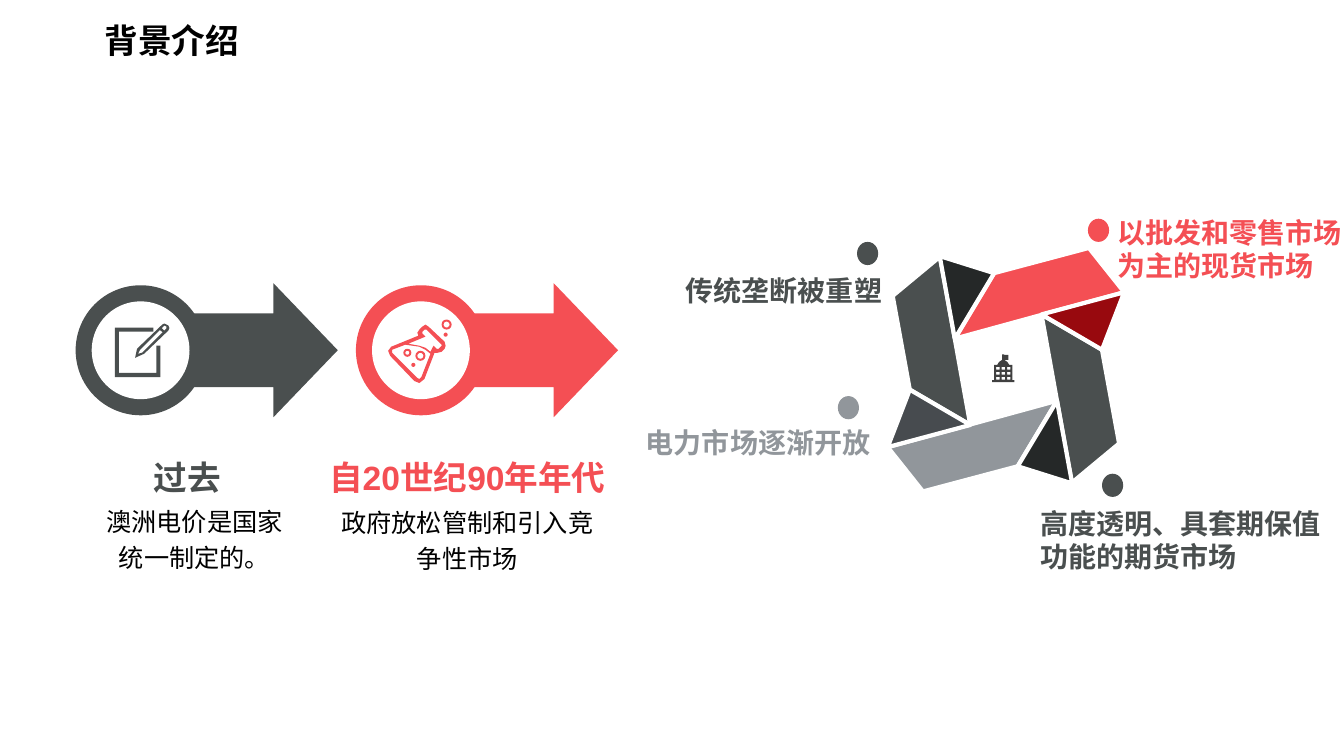
from dataclasses import dataclass

from lxml import etree
from pptx import Presentation
from pptx.dml.color import RGBColor
from pptx.enum.shapes import MSO_SHAPE
from pptx.enum.text import MSO_ANCHOR, MSO_AUTO_SIZE, PP_ALIGN
from pptx.oxml.ns import qn
from pptx.util import Emu, Inches, Pt

ARROW, OVAL, RING = MSO_SHAPE.RIGHT_ARROW, MSO_SHAPE.OVAL, MSO_SHAPE.DONUT
LEFT, CENTER, RIGHT = PP_ALIGN.LEFT, PP_ALIGN.CENTER, PP_ALIGN.RIGHT
MIDDLE, BOTTOM, TOP = MSO_ANCHOR.MIDDLE, MSO_ANCHOR.BOTTOM, MSO_ANCHOR.TOP

CELL = Inches(0.1)  # every length below is in columns and rows of this grid
STAGE_STEP = 27.8
HUB = (99.77, 36.68)

Point = tuple[float, float]
Box = tuple[float, float, float, float]
Contour = list[Point]


@dataclass(frozen=True)
class Theme:
    slate: str = "4A4F4F"
    coral: str = "F44F54"
    grey: str = "91969B"
    coal: str = "252828"
    maroon: str = "98090E"
    steel: str = "474B4F"
    icon: str = "404040"
    white: str = "FFFFFF"
    black: str = "000000"
    font: str = "Arial"
    cjk_font: str = "Noto Sans CJK SC"
    heading: int = 24
    label: int = 20
    body: int = 18
    edge: int = 3


T = Theme()


@dataclass(frozen=True)
class Text:
    text: str
    box: Box
    size: int
    color: str
    bold: bool = True
    align: PP_ALIGN = CENTER
    anchor: MSO_ANCHOR = MIDDLE
    wrap: bool = False
    spacing: float = 1.0
    insets: Box = (0, 0, 0, 0)
    font: str = T.font
    grow: bool = False


@dataclass(frozen=True)
class Stage:
    color: str
    heading: str
    body: str
    body_box: Box
    icon: list[list[Contour]]


@dataclass(frozen=True)
class Facet:
    """A pinwheel part, and the colour of its twin across the hub."""
    points: Contour
    color: str
    twin_color: str


@dataclass(frozen=True)
class Label:
    dot: Point
    text: Text


@dataclass(frozen=True)
class Bubble:
    left: float
    top: float
    size: float
    wall: float = 0  # 0 is a solid dot


PEN_ICON = [
    [[(15.7, 37.4), (11.4, 37.4), (11.4, 32.5), (15.2, 32.5), (15.2, 32.9), (11.8, 32.9),
      (11.8, 37), (15.5, 37), (15.5, 34.3), (15.9, 34.3), (15.9, 37.4)]],
    [[(13.4, 35.5), (13.6, 34.6), (16.1, 32.2), (16.3, 32.1), (16.7, 32.3), (16.8, 32.55),
      (16.7, 32.8), (14.3, 35.1)],
     [(13.9, 34.7), (13.7, 35.1), (14.1, 35), (16.5, 32.6), (16.5, 32.4), (16.3, 32.3)]],
    [[(16.2, 33), (15.8, 32.7), (16, 32.5), (16.4, 32.9)]],
]
FLASK_ICON = [[
    [(42.5, 32.4), (42.2, 32.2), (41.9, 32.4), (41.6, 32.7), (41.4, 33), (41.5, 33.3),
     (38.8, 34.4), (38.5, 34.8), (38.7, 35.3), (41.1, 37.8), (41.6, 38), (42.1, 37.6),
     (43.1, 35), (43.4, 35), (43.8, 34.9), (44.1, 34.6), (44.2, 34.3), (44.1, 33.9)],
    [(41.8, 37.4), (41.6, 37.6), (41.4, 37.5), (38.9, 35), (38.9, 34.7), (40.2, 34.2),
     (41.6, 34.4), (42.2, 34.7), (42.7, 35.1)],
    [(43.8, 34.3), (43.5, 34.6), (43.3, 34.6), (43, 34.3), (42.7, 34.9), (42.2, 34.5),
     (41.6, 34.3), (40.5, 34.1), (42.2, 33.4), (41.9, 33.1), (41.9, 32.9), (42.1, 32.7),
     (42.3, 32.7), (43.8, 34.2)],
]]
BUBBLES = [Bubble(41.2, 34.8, 1, 0.2), Bubble(43.8, 31.7, 1, 0.2), Bubble(40, 34.6, 0.8, 0.25),
           Bubble(40.8, 36, 0.4), Bubble(44, 33, 0.4)]
BUILDING = [(98.4, 37.9), (98.4, 37.7), (98.6, 37.7), (98.6, 36.2), (98.9, 36.2), (99.1, 35.9),
            (99.4, 35.7), (99.4, 35.15), (99.6, 35.15), (99.6, 35.2), (100, 35.2), (100, 35.7),
            (99.6, 35.7), (99.9, 35.9), (100.1, 36.2), (100.4, 36.2), (100.4, 37.7),
            (100.6, 37.7), (100.6, 37.9)]

STAGES = [
    Stage(T.slate, "过去", "澳洲电价是国家\n统一制定的。", (3.6, 50.1, 31.4, 6.3), PEN_ICON),
    Stage(T.coral, "自20世纪90年年代", "政府放松管制和引入竞争性市场",
          (33.3, 50.2, 26.1, 6.3), FLASK_ICON),
]
FACETS = [
    Facet([(109.3, 34.7), (103.3, 31.2), (106.3, 47.9), (111, 44)], T.slate, T.slate),
    Facet([(98.6, 27.1), (94.7, 33.6), (111.5, 29), (108, 24.6)], T.coral, T.grey),
    Facet([(93.2, 25.4), (98.6, 27.1), (94.7, 33.6)], T.coal, T.coal),
    Facet([(111.5, 29), (109.3, 34.7), (103.3, 31.2)], T.maroon, T.steel),
]
LABELS = [
    Label((107.9, 21.7), Text("以批发和零售市场\n为主的现货市场", (108.4, 19.9, 16.4, 8.1), T.label,
                              T.coral, align=LEFT, anchor=BOTTOM, insets=(2.4, 0, 0, 0))),
    Label((109.3, 47), Text("高度透明、具套期保值\n功能的期货市场", (100.8, 47.1, 17.8, 9.8), T.label,
                            T.slate, align=LEFT, anchor=BOTTOM, insets=(2.4, 0, 0, 0))),
    Label((85, 24), Text("传统垄断被重塑", (75.3, 27.7, 15.3, 2.2), T.label,
                         T.slate, align=RIGHT, insets=(0, 0, 3.1, 0))),
    Label((83.1, 39.3), Text("电力市场逐渐开放", (69.1, 42.8, 15.3, 2.2), T.label,
                             T.grey, insets=(0, 0, 3.1, 0))),
]
TITLE = Text("背景介绍", (9.4, 0.3, 35.6, 5.7), T.heading, T.black, align=LEFT, anchor=TOP, wrap=True,
             spacing=1.3, insets=(1, 0.5, 1, 0.5), font=T.cjk_font, grow=True)


def grid(n: float) -> Emu:
    return Emu(round(n * CELL))


def paint(sp, color: str, edge: str | None = None) -> None:
    sp.shadow.inherit = False
    sp.fill.solid()
    sp.fill.fore_color.rgb = RGBColor.from_string(color)
    if edge is None:
        sp.line.fill.background()
    else:
        sp.line.color.rgb = RGBColor.from_string(edge)
        sp.line.width = Pt(T.edge)


def add_preset(s, kind: MSO_SHAPE, box: Box, color: str, *adjustments: float) -> None:
    sp = s.shapes.add_shape(kind, *map(grid, box))
    for i, value in enumerate(adjustments):
        sp.adjustments[i] = value
    paint(sp, color)


def add_outline(s, contours: list[Contour], color: str, edge: str | None = None) -> None:
    """Draw closed contours as one shape; inner contours are holes."""
    first, *rest = [[(grid(x), grid(y)) for x, y in c] for c in contours]
    fb = s.shapes.build_freeform(*first[0], scale=1.0)
    fb.add_line_segments(first[1:], close=True)
    for contour in rest:
        fb.move_to(*contour[0])
        fb.add_line_segments(contour[1:], close=True)
    paint(fb.convert_to_shape(), color, edge)


def add_text(s, t: Text) -> None:
    tf = s.shapes.add_textbox(*map(grid, t.box)).text_frame
    tf.word_wrap = t.wrap
    tf.auto_size = MSO_AUTO_SIZE.SHAPE_TO_FIT_TEXT if t.grow else MSO_AUTO_SIZE.NONE
    tf.vertical_anchor = t.anchor
    tf.margin_left, tf.margin_top, tf.margin_right, tf.margin_bottom = map(grid, t.insets)
    tf.text = t.text
    for p in tf.paragraphs:
        p.alignment, p.line_spacing = t.align, t.spacing
        for r in p.runs:
            r.font.name, r.font.size, r.font.bold = t.font, Pt(t.size), t.bold
            r.font.color.rgb = RGBColor.from_string(t.color)
            etree.SubElement(r.font._element, qn("a:ea"), typeface=T.cjk_font)


def add_stage(s, stage: Stage, dx: float) -> None:
    add_preset(s, ARROW, (16.3 + dx, 28.1, 17.2, 13.3), stage.color, 0.55, 0.48)
    add_preset(s, OVAL, (7.5 + dx, 28.3, 12.9, 12.9), stage.color)
    add_preset(s, OVAL, (9.1 + dx, 29.9, 9.7, 9.7), T.white)
    for contours in stage.icon:
        add_outline(s, contours, stage.color)
    add_text(s, Text(stage.heading, (5.5 + dx, 45.8, 26.1, 3.1), T.heading, stage.color))
    add_text(s, Text(stage.body, stage.body_box, T.body, T.black, bold=False, wrap=True, spacing=1.2))


def add_pinwheel(s) -> None:
    for facet in FACETS:
        twin = [(2 * HUB[0] - x, 2 * HUB[1] - y) for x, y in facet.points]
        add_outline(s, [facet.points], facet.color, T.white)
        add_outline(s, [twin], facet.twin_color, T.white)
    corners = [(98.8 + 0.54 * col, 36.4 + 0.5 * row) for row in range(3) for col in range(3)]
    windows = [[(x, y), (x + 0.34, y), (x + 0.34, y + 0.27), (x, y + 0.27)] for x, y in corners]
    add_outline(s, [BUILDING, *windows], T.icon)


def main() -> None:
    prs = Presentation()
    prs.slide_width, prs.slide_height = Inches(13.33), Inches(7.5)
    s = prs.slides.add_slide(prs.slide_layouts[6])
    for i, stage in enumerate(STAGES):
        add_stage(s, stage, i * STAGE_STEP)
    for b in BUBBLES:
        box = (b.left, b.top, b.size, b.size)
        if b.wall:
            add_preset(s, RING, box, T.coral, b.wall)
        else:
            add_preset(s, OVAL, box, T.coral)
    add_text(s, TITLE)
    add_pinwheel(s)
    for label in LABELS:
        add_preset(s, OVAL, (*label.dot, 2.1, 2.3), label.text.color)
        add_text(s, label.text)
    prs.save("out.pptx")


if __name__ == "__main__":
    main()
